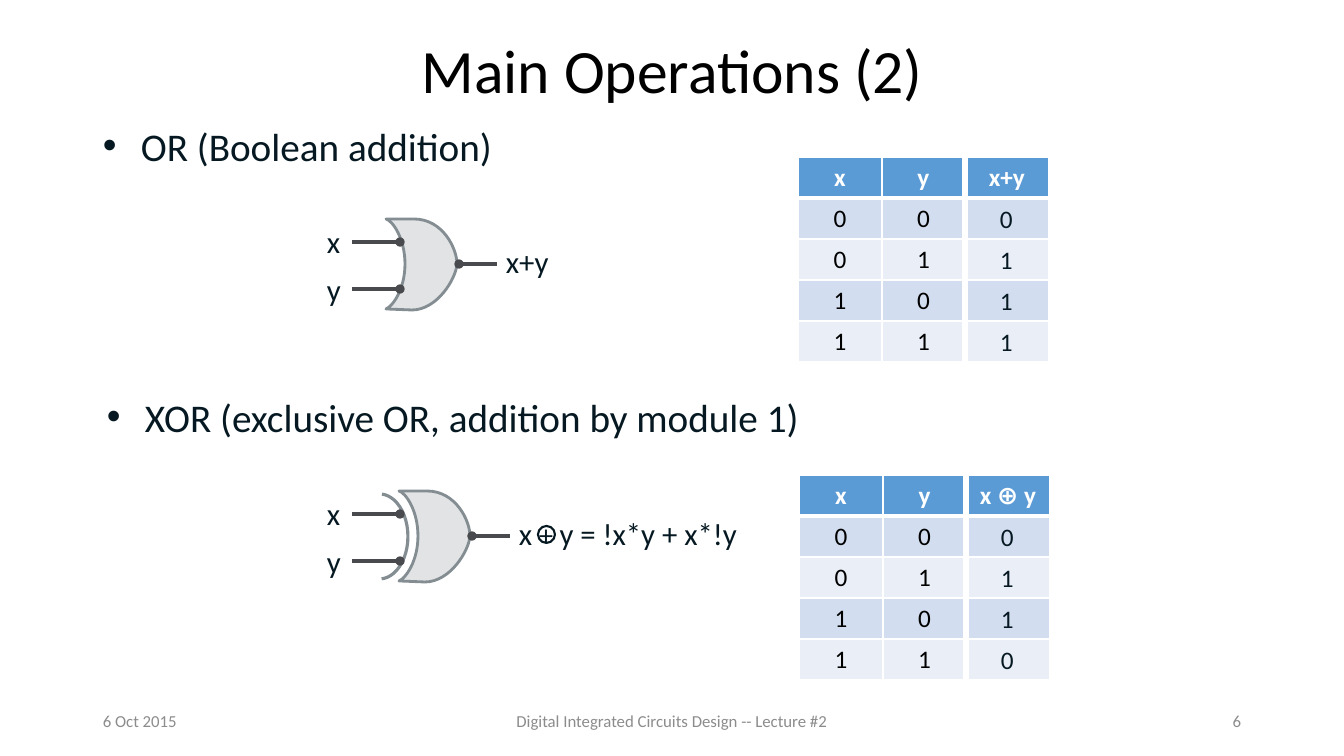
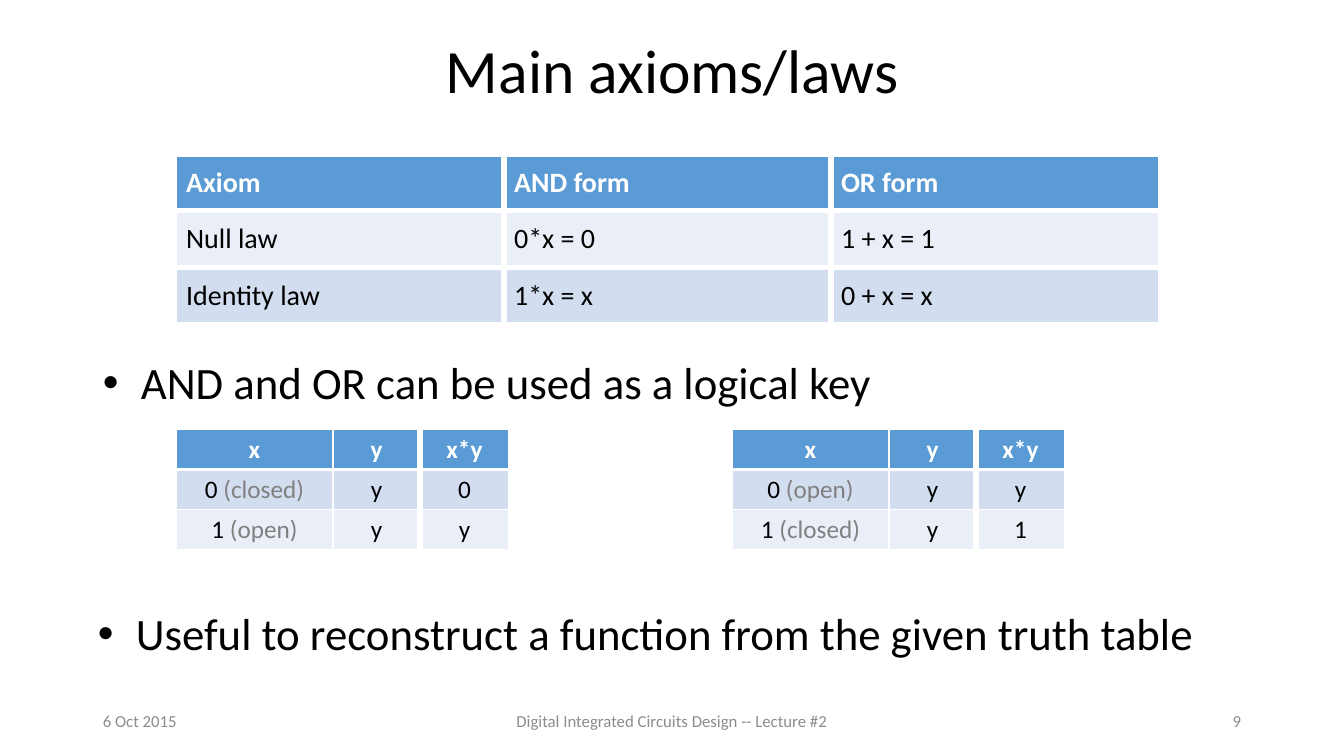
"""Build two lecture slides on Boolean operations and axioms."""
from dataclasses import dataclass

from lxml.etree import SubElement
from pptx import Presentation
from pptx.dml.color import RGBColor
from pptx.enum.shapes import MSO_CONNECTOR as Connector, MSO_SHAPE as Shape
from pptx.enum.text import MSO_ANCHOR as Anchor, PP_ALIGN as Align
from pptx.oxml.ns import qn
from pptx.util import Pt

SCALE = 6858000 / 756


@dataclass(frozen=True)
class Theme:
    font: str = "Calibri"
    black: RGBColor = RGBColor(0, 0, 0)
    white: RGBColor = RGBColor(255, 255, 255)
    ink: RGBColor = RGBColor.from_string("061922")
    footer: RGBColor = RGBColor.from_string("8C8C8C")
    remark: RGBColor = RGBColor.from_string("808080")
    header: RGBColor = RGBColor.from_string("5B9BD5")
    dark_band: RGBColor = RGBColor.from_string("D2DEEF")
    light_band: RGBColor = RGBColor.from_string("EAEFF7")
    gate_fill: RGBColor = RGBColor.from_string("E1E3E5")
    gate_line: RGBColor = RGBColor.from_string("838D92")
    wire: RGBColor = RGBColor.from_string("494A4D")
    title_size: int = 44
    point_size: int = 32
    subpoint_size: int = 28
    label_size: int = 22
    plus_size: int = 20
    axiom_size: int = 20
    truth_size: int = 18
    footer_size: int = 12


theme = Theme()


def write_text(paragraph, content, size, color, align=Align.LEFT, bold=False):
    paragraph.alignment = align
    runs = [(content, size, color)] if isinstance(content, str) else content
    for text, run_size, run_color in runs:
        run = paragraph.add_run()
        run.text = text
        run.font.name = theme.font
        run.font.size = Pt(run_size)
        run.font.color.rgb = run_color
        run.font.bold = bold


def add_text(slide, box, content, size, color, align=Align.LEFT,
             anchor=Anchor.TOP, bullet=False, wrap=True):
    shape = slide.shapes.add_textbox(*[round(value * SCALE) for value in box])
    shape.text_frame.word_wrap = wrap
    shape.text_frame.vertical_anchor = anchor
    paragraph = shape.text_frame.paragraphs[0]
    if bullet:
        properties = paragraph._p.get_or_add_pPr()
        properties.set("marL", str(round(38 * SCALE)))
        properties.set("indent", str(round(-38 * SCALE)))
        SubElement(properties, qn("a:buFont"), typeface="Arial")
        SubElement(properties, qn("a:buChar"), char="•")
    write_text(paragraph, content, size, color, align)
    return paragraph


presentation = Presentation()
presentation.slide_width = round(1344 * SCALE)
presentation.slide_height = round(756 * SCALE)

slides = []
for title, number in [("Main Operations (2)", "6"), ("Main axioms/laws", "9")]:
    slide = presentation.slides.add_slide(presentation.slide_layouts[6])
    slides.append(slide)
    paragraph = add_text(slide, (93, 1, 1159, 146), title, theme.title_size,
                         theme.black, Align.CENTER, Anchor.MIDDLE)
    paragraph.line_spacing = 0.9
    for left, width, text, align in [
        (93, 302, "6 Oct 2015", Align.LEFT),
        (445, 454, "Digital Integrated Circuits Design -- Lecture #2", Align.CENTER),
        (949, 302, number, Align.RIGHT),
    ]:
        add_text(slide, (left, 701, width, 40), text, theme.footer_size,
                 theme.footer, align, Anchor.MIDDLE)
operations, axioms = slides

for slide, box, text, size, color in [
    (operations, (93, 117, 1159, 60), "OR (Boolean addition)",
     theme.subpoint_size, theme.ink),
    (operations, (97, 388, 724, 80), "XOR (exclusive OR, addition by module 1)",
     theme.subpoint_size, theme.ink),
    (axioms, (93, 350, 1159, 73), "AND and OR can be used as a logical key",
     theme.point_size, theme.black),
    (axioms, (88, 601, 1159, 73),
     "Useful to reconstruct a function from the given truth table",
     theme.point_size, theme.black),
]:
    add_text(slide, box, text, size, color, bullet=True)

gate_segments = [
    ((0, 0), ()),
    ((19, 45), ((7, 2), (19, 20))),
    ((0, 90), ((19, 70), (7, 87))),
    ((26, 91), ()),
    ((71, 45), ((51, 91), (70, 60))),
    ((28, 0), ((71, 30), (57, 0))),
]
xor_label = [
    ("x ", theme.label_size, theme.ink),
    ("+ ", theme.plus_size, theme.ink),
    ("y = !x*y + x*!y", theme.label_size, theme.ink),
]
for gate_left, gate_top, label, label_width, exclusive in [
    (386, 219, "x+y", 64, False),
    (399, 491, xor_label, 241, True),
]:
    builder = operations.shapes.build_freeform(28, 0, scale=SCALE)
    builder.add_line_segments([end for end, controls in gate_segments], close=True)
    gate = builder.convert_to_shape(round(gate_left * SCALE), round(gate_top * SCALE))
    segments = list(gate._element.iter(qn("a:lnTo")))
    for segment, (end, controls) in zip(segments, gate_segments):
        if controls:
            segment.tag = qn("a:cubicBezTo")
            for x, y in controls:
                SubElement(segment, qn("a:pt"), x=str(x), y=str(y))
            segment.append(segment[0])
    gate.shadow.inherit = False
    gate.fill.solid()
    gate.fill.fore_color.rgb = theme.gate_fill
    gate.line.color.rgb = theme.gate_line
    gate.line.width = Pt(2)

    if exclusive:
        for kind, box, color, width in [
            (Shape.ARC, (351, 494, 57, 85), theme.gate_line, 2.25),
            (Shape.OVAL, (538, 526, 17, 17), theme.ink, 1.5),
        ]:
            shape = operations.shapes.add_shape(
                kind, *[round(value * SCALE) for value in box])
            shape.shadow.inherit = False
            shape.fill.background()
            shape.line.color.rgb = color
            shape.line.width = Pt(width)
            if kind == Shape.ARC:
                shape.adjustments[0] = 164.09
                shape.adjustments[1] = 52.21

    for start, end, offset in [
        (352, 400, 23),
        (352, 400, 70),
        (gate_left + 111, gate_left + 73, 45),
    ]:
        height = round((gate_top + offset) * SCALE)
        wire = operations.shapes.add_connector(
            Connector.STRAIGHT, round(start * SCALE), height,
            round(end * SCALE), height)
        wire.line.color.rgb = theme.wire
        wire.line.width = Pt(2.25)
        SubElement(wire.line._get_or_add_ln(), qn("a:tailEnd"), type="oval")
        SubElement(wire._element.spPr, qn("a:effectLst"))

    for box, text in [
        ((317, gate_top - 1, 34, 47), "x"),
        ((317, gate_top + 47, 34, 47), "y"),
        ((gate_left + 110, gate_top + 19, label_width, 47), label),
    ]:
        add_text(operations, box, text, theme.label_size, theme.ink, wrap=False)

truth_rows = [["0", "0", ""], ["0", "1", ""], ["1", "0", ""], ["1", "1", ""]]
key_rows = []
for states, results in [(("closed", "open"), "0y"), (("open", "closed"), "y1")]:
    rows = [["x", "y", "x*y"]]
    for value, state, result in zip("01", states, results):
        key = [(f"{value} ", theme.truth_size, theme.black),
               (f"({state})", theme.truth_size, theme.remark)]
        rows.append([key, "y", result])
    key_rows.append(rows)

truth_fills = [theme.header] + [theme.dark_band, theme.light_band] * 2
truth_style = (theme.truth_size, Align.CENTER, Anchor.TOP, {2})
axiom_style = (theme.axiom_size, Align.LEFT, Anchor.MIDDLE, {1, 2})
truth_widths = (84, 83, 84)
key_widths = (157, 87, 89)
axiom_widths = (328, 327, 328)

tables = [
    (operations, 798, 157, truth_widths, 41, [["x", "y", "x+y"]] + truth_rows,
     truth_fills, truth_style),
    (operations, 799, 475, truth_widths, 41, [["x", "y", "x ⊕ y"]] + truth_rows,
     truth_fills, truth_style),
    (axioms, 176, 429, key_widths, 40, key_rows[0], truth_fills, truth_style),
    (axioms, 732, 429, key_widths, 40, key_rows[1], truth_fills, truth_style),
]
for top, fill_color, row in [
    (156, theme.header, ["Axiom", "AND form", "OR form"]),
    (212, theme.light_band, ["Null law", "0*x = 0", "1 + x = 1"]),
    (269, theme.dark_band, ["Identity law", "1*x = x", "0 + x = x"]),
]:
    tables.append((axioms, 176, top, axiom_widths, 54, [row], [fill_color], axiom_style))

for slide, left, top, widths, row_height, rows, fills, style in tables:
    size, align, anchor, thick_columns = style
    thick_rows = {1} if fills[0] == theme.header else set()
    box = (left, top, sum(widths), row_height * len(rows))
    table = slide.shapes.add_table(
        len(rows), len(widths), *[round(value * SCALE) for value in box]).table
    for column, width in zip(table.columns, widths):
        column.width = round(width * SCALE)
    for row_index, row in enumerate(rows):
        fill_color = fills[row_index]
        is_header = fill_color == theme.header
        color = theme.white if is_header else theme.black
        for column_index, content in enumerate(row):
            cell = table.cell(row_index, column_index)
            properties = cell._tc.get_or_add_tcPr()
            for side, edge, thick_edges, thick in [
                ("L", column_index, thick_columns, 4.5),
                ("R", column_index + 1, thick_columns, 4.5),
                ("T", row_index, thick_rows, 3),
                ("B", row_index + 1, thick_rows, 3),
            ]:
                weight = Pt(thick if edge in thick_edges else 1)
                border = SubElement(properties, qn(f"a:ln{side}"), w=str(weight))
                fill = SubElement(border, qn("a:solidFill"))
                SubElement(fill, qn("a:srgbClr"), val=str(theme.white))
            cell.fill.solid()
            cell.fill.fore_color.rgb = fill_color
            cell.vertical_anchor = anchor
            if content:
                write_text(cell.text_frame.paragraphs[0], content, size, color,
                           align, is_header)

for left, top, results in [(990, 198, "0111"), (991, 516, "0110")]:
    for index, result in enumerate(results):
        add_text(operations, (left, top + 41 * index, 43, 40), result,
                 theme.truth_size, theme.ink)

presentation.save("out.pptx")
